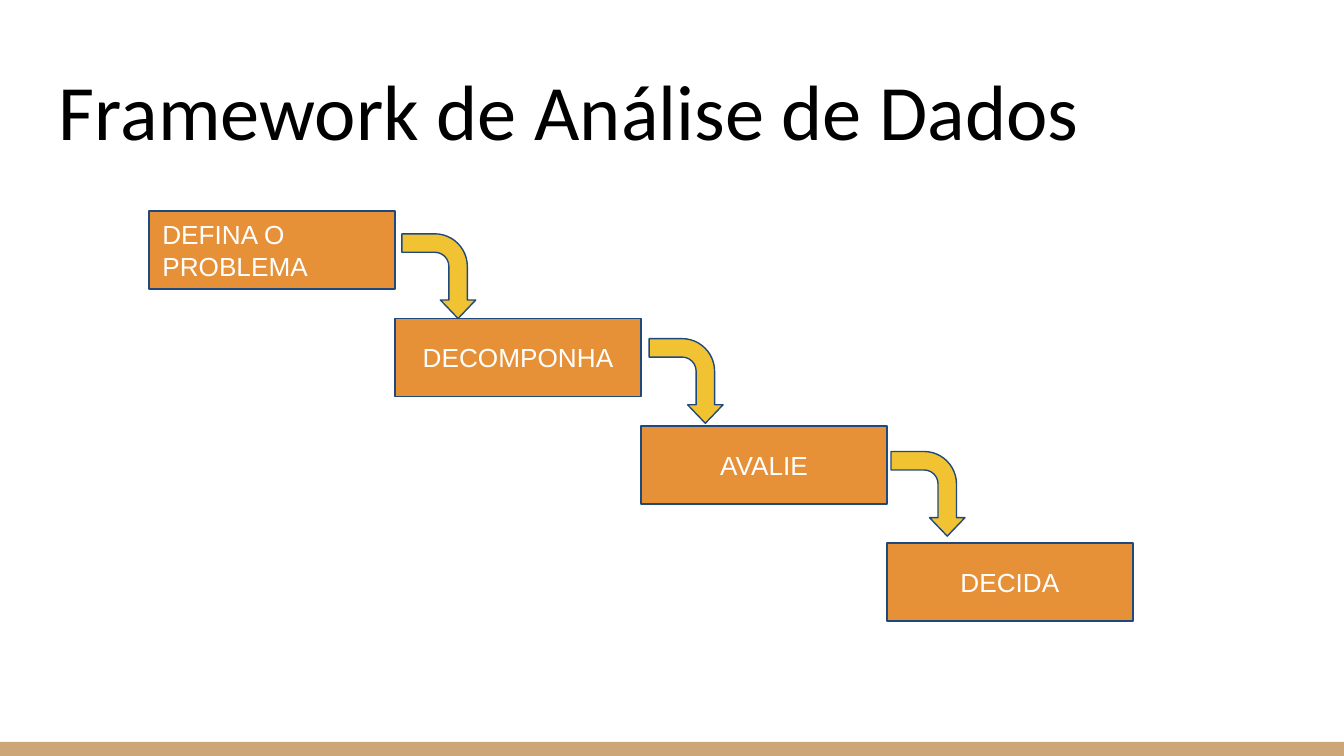
"""Build a slide showing a data analysis framework as a four-step staircase."""
from dataclasses import dataclass

from pptx import Presentation
from pptx.dml.color import RGBColor
from pptx.enum.shapes import MSO_SHAPE
from pptx.enum.text import MSO_ANCHOR, PP_ALIGN
from pptx.util import Inches, Pt


@dataclass(frozen=True)
class Theme:
    ink: RGBColor = RGBColor.from_string("000000")
    paper: RGBColor = RGBColor.from_string("FFFFFF")
    footer: RGBColor = RGBColor.from_string("CCA677")
    step: RGBColor = RGBColor.from_string("E69138")
    arrow: RGBColor = RGBColor.from_string("F1C232")
    outline: RGBColor = RGBColor.from_string("1F497D")
    title_size: Pt = Pt(42)
    step_size: Pt = Pt(14)
    outline_width: Pt = Pt(0.75)


theme = Theme()


def write(holder, text, *, font, size, color, anchor, align=PP_ALIGN.LEFT):
    frame = holder.text_frame
    frame.word_wrap = True
    frame.vertical_anchor = anchor
    frame.margin_left = frame.margin_right = Inches(0.1)
    frame.margin_top = frame.margin_bottom = Inches(0.1)
    paragraph = frame.paragraphs[0]
    paragraph.alignment = align
    run = paragraph.add_run()
    run.text = text
    run.font.name = font
    run.font.size = size
    run.font.color.rgb = color


def draw(preset, left, top, width, height, fill, outline=None):
    figure = slide.shapes.add_shape(
        preset, Inches(left), Inches(top), Inches(width), Inches(height))
    figure.shadow.inherit = False
    figure.fill.solid()
    figure.fill.fore_color.rgb = fill
    if outline is None:
        figure.line.fill.background()
    else:
        figure.line.color.rgb = outline
        figure.line.width = theme.outline_width
    return figure


presentation = Presentation()
presentation.slide_width = Inches(10)
presentation.slide_height = Inches(10 * 9 / 16)
slide = presentation.slides.add_slide(presentation.slide_layouts[6])
slide.background.fill.solid()
slide.background.fill.fore_color.rgb = theme.paper

draw(MSO_SHAPE.RECTANGLE, 0, 5.52, 10, 0.11, theme.footer)

title = slide.shapes.add_textbox(Inches(0.34), Inches(0.35), Inches(9.32), Inches(0.91))
write(title, "Framework de Análise de Dados", font="Calibri",
      size=theme.title_size, color=theme.ink, anchor=MSO_ANCHOR.BOTTOM)

step_width, step_height, first_left = 1.83, 0.58, 1.11
steps = [
    ("DEFINA O PROBLEMA", 1.57, PP_ALIGN.LEFT),
    ("DECOMPONHA", 2.37, PP_ALIGN.CENTER),
    ("AVALIE", 3.17, PP_ALIGN.CENTER),
    ("DECIDA", 4.04, PP_ALIGN.CENTER),
]
for index, (label, top, align) in enumerate(steps):
    step = draw(MSO_SHAPE.RECTANGLE, first_left + index * step_width, top,
                step_width, step_height, theme.step, theme.outline)
    write(step, label, font="Arial", size=theme.step_size, color=theme.paper,
          anchor=MSO_ANCHOR.MIDDLE, align=align)

for left, top in [(2.95, 1.78), (4.79, 2.56), (6.59, 3.4)]:
    arrow = draw(MSO_SHAPE.BENT_ARROW, left, top, 0.63, 0.55, theme.arrow, theme.outline)
    arrow.rotation = 90
    for position, adjustment in enumerate([0.25, 0.24, 0.25, 0.44]):
        arrow.adjustments[position] = adjustment

presentation.save("out.pptx")
